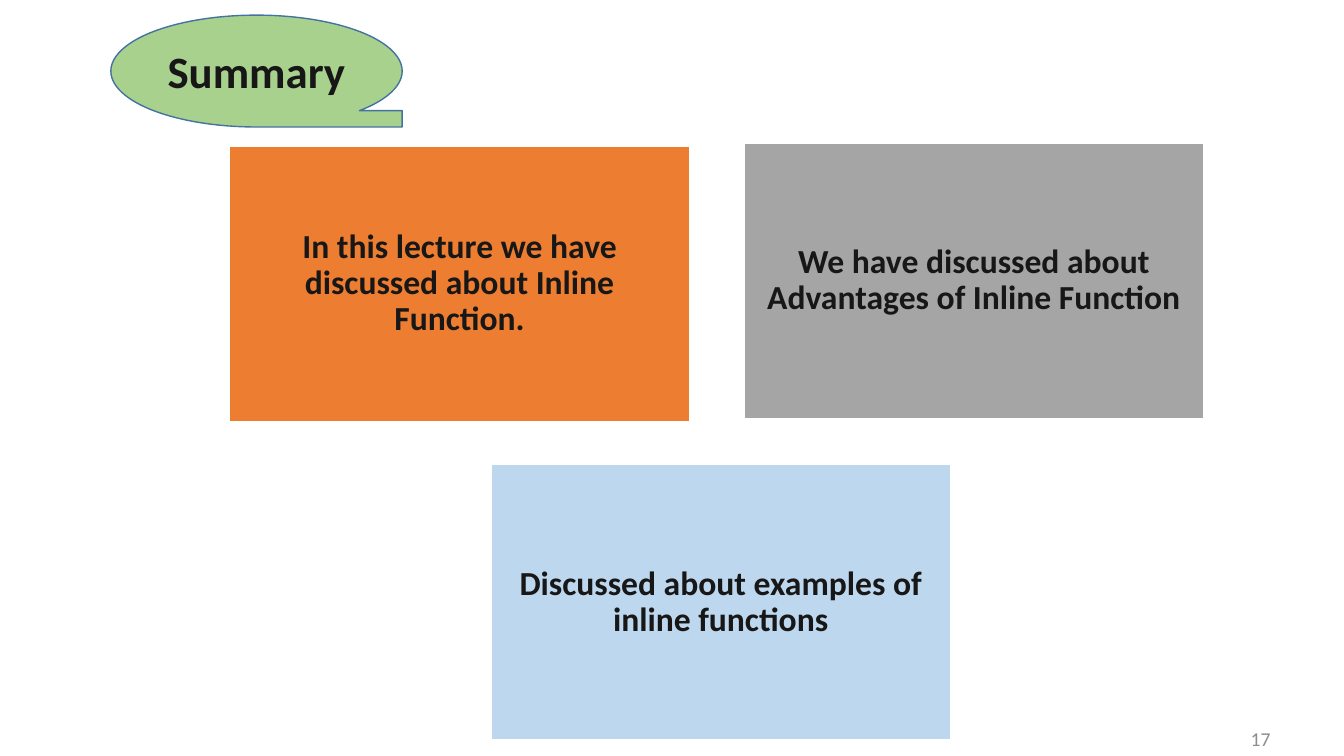
from dataclasses import dataclass

from pptx import Presentation
from pptx.dml.color import RGBColor
from pptx.enum.shapes import MSO_SHAPE
from pptx.enum.text import MSO_ANCHOR, PP_ALIGN
from pptx.util import Inches, Pt

WIDE, HIGH = Inches(13.33), Inches(7.5)


@dataclass(frozen=True)
class Theme:
    """Colours and type sizes of the slide."""
    font: str = "Calibri"
    ink: str = "181717"
    pale: str = "8C8C8C"
    green: str = "A9D18E"
    edge: str = "43739E"
    white: str = "FFFFFF"
    orange: str = "ED7D31"
    gray: str = "A5A5A5"
    blue: str = "BDD7EE"
    head: int = 32
    body: int = 24
    foot: int = 14


LOOK = Theme()
CARD = (34.2, 36.4)
CARDS = (
    (17.1, 19.33, LOOK.orange, "In this lecture we have discussed about Inline Function."),
    (55.36, 18.93, LOOK.gray, "We have discussed about Advantages of Inline Function"),
    (36.53, 61.47, LOOK.blue, "Discussed about examples of inline functions"),
)


def area(left, top, width, height):
    """Turn percentages of the slide into lengths."""
    return (int(WIDE * left / 100), int(HIGH * top / 100),
            int(WIDE * width / 100), int(HIGH * height / 100))


def write(shape, text, size=LOOK.body, color=LOOK.ink, bold=True,
          align=PP_ALIGN.CENTER, lead=1.0, pad=0.05):
    """Set the text of a shape and its format."""
    frame = shape.text_frame
    frame.word_wrap = True
    frame.vertical_anchor = MSO_ANCHOR.MIDDLE
    frame.margin_left = frame.margin_right = Inches(0.1)
    frame.margin_top = frame.margin_bottom = Inches(pad)
    para = frame.paragraphs[0]
    para.alignment = align
    para.line_spacing = lead
    run = para.add_run()
    run.text = text
    run.font.name = LOOK.font
    run.font.size = Pt(size)
    run.font.bold = bold
    run.font.color.rgb = RGBColor.from_string(color)


def block(slide, kind, box, fill, line):
    """Add a filled and outlined shape."""
    shape = slide.shapes.add_shape(kind, *area(*box))
    shape.shadow.inherit = False
    shape.fill.solid()
    shape.fill.fore_color.rgb = RGBColor.from_string(fill)
    shape.line.color.rgb = RGBColor.from_string(line)
    shape.line.width = Pt(1)
    return shape


def title(slide, text):
    """Add the heading on its tape shape."""
    tape = block(slide, MSO_SHAPE.FLOWCHART_SEQUENTIAL_ACCESS_STORAGE,
                 (8.25, 2, 21.68, 14.8), LOOK.green, LOOK.edge)
    write(tape, text, size=LOOK.head)


def card(slide, left, top, fill, text):
    """Add one summary card."""
    shape = block(slide, MSO_SHAPE.RECTANGLE, (left, top, *CARD), fill, LOOK.white)
    write(shape, text, lead=0.9, pad=0.1)


def number(slide, text):
    """Add the page number."""
    box = slide.shapes.add_textbox(*area(78.47, 97.33, 16.8, 0.67))
    write(box, text, size=LOOK.foot, color=LOOK.pale, bold=False,
          align=PP_ALIGN.RIGHT)


def main():
    """Build and save the summary slide."""
    deck = Presentation()
    deck.slide_width, deck.slide_height = WIDE, HIGH
    slide = deck.slides.add_slide(deck.slide_layouts[6])
    number(slide, "17")
    title(slide, "Summary")
    for item in CARDS:
        card(slide, *item)
    deck.save("out.pptx")


if __name__ == "__main__":
    main()
